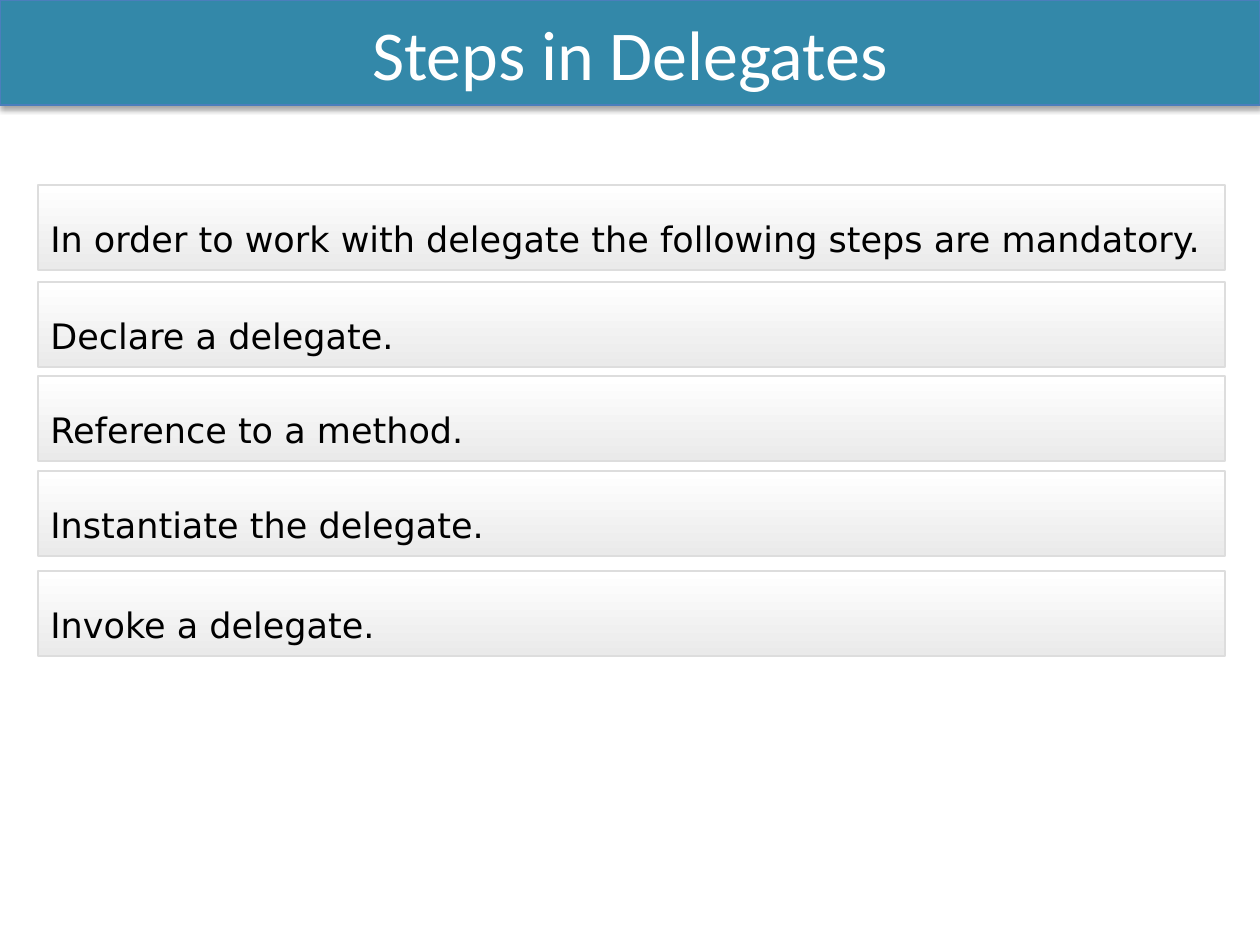
"""Build the "Steps in Delegates" slide."""
from lxml import etree
from pptx import Presentation, util as u
from pptx.dml.color import RGBColor
from pptx.enum import shapes, text
from pptx.oxml.ns import qn

TITLE = "Steps in Delegates"
STEPS = [
    (185, "In order to work with delegate the following steps are mandatory."),
    (282, "Declare a delegate."),
    (376, "Reference to a method."),
    (471, "Instantiate the delegate."),
    (571, "Invoke a delegate."),
]
SLIDE_WIDTH, SLIDE_HEIGHT = 1260, 945
TITLE_HEIGHT = 105
STEP_LEFT, STEP_WIDTH, STEP_HEIGHT = 38, 1187, 85
COLORS = {
    "title": "3388A9", "title_line": "4B7EBC", "title_text": "FFFFFF",
    "step_top": "FFFFFF", "step_bottom": "EAEAEA", "step_line": "DDDDDD",
    "step_text": "000000", "shadow": "000000",
}
TITLE_FORMAT = {"name": "Calibri", "size": u.Pt(40)}
STEP_FORMAT = {"name": "DejaVu Sans", "size": u.Pt(20)}
TITLE_PARAGRAPH = {"alignment": text.PP_ALIGN.CENTER}
STEP_PARAGRAPH = {"alignment": text.PP_ALIGN.LEFT, "line_spacing": 1.5}
SHADOW = {"blurRad": "40000", "dist": "23000", "dir": "5400000", "rotWithShape": "0"}


def px(value):
    return round(value * 914400 / 126)


def color(name):
    return RGBColor.from_string(COLORS[name])


def add_bar(slide, box, wording, kind, line_width, paragraph_format, font_format):
    shape = slide.shapes.add_shape(shapes.MSO_SHAPE.RECTANGLE, *map(px, box))
    shape.shadow.inherit = False
    shape.line.color.rgb = color(f"{kind}_line")
    shape.line.width = u.Pt(line_width)
    frame = shape.text_frame
    frame.word_wrap = True
    frame.vertical_anchor = text.MSO_ANCHOR.MIDDLE
    paragraph = frame.paragraphs[0]
    run = paragraph.add_run()
    run.text = wording
    run.font.color.rgb = color(f"{kind}_text")
    for target, values in ((paragraph, paragraph_format), (run.font, font_format)):
        for name, value in values.items():
            setattr(target, name, value)
    return shape


def add_shadow(shape):
    effects = shape._element.spPr.find(qn("a:effectLst"))
    outer = etree.SubElement(effects, qn("a:outerShdw"), SHADOW)
    tone = etree.SubElement(outer, qn("a:srgbClr"), val=COLORS["shadow"])
    etree.SubElement(tone, qn("a:alpha"), val="35000")


def main():
    presentation = Presentation()
    presentation.slide_width = px(SLIDE_WIDTH)
    presentation.slide_height = px(SLIDE_HEIGHT)
    slide = presentation.slides.add_slide(presentation.slide_layouts[6])

    title = add_bar(slide, (0, 0, SLIDE_WIDTH, TITLE_HEIGHT), TITLE, "title", 0.75,
                    TITLE_PARAGRAPH, TITLE_FORMAT)
    title.fill.solid()
    title.fill.fore_color.rgb = color("title")
    add_shadow(title)

    for top, wording in STEPS:
        step = add_bar(slide, (STEP_LEFT, top, STEP_WIDTH, STEP_HEIGHT), wording, "step", 1,
                       STEP_PARAGRAPH, STEP_FORMAT)
        step.fill.gradient()
        step.fill.gradient_angle = 270
        for stop, name in zip(step.fill.gradient_stops, ("step_top", "step_bottom")):
            stop.color.rgb = color(name)

    presentation.save("out.pptx")


if __name__ == "__main__":
    main()
